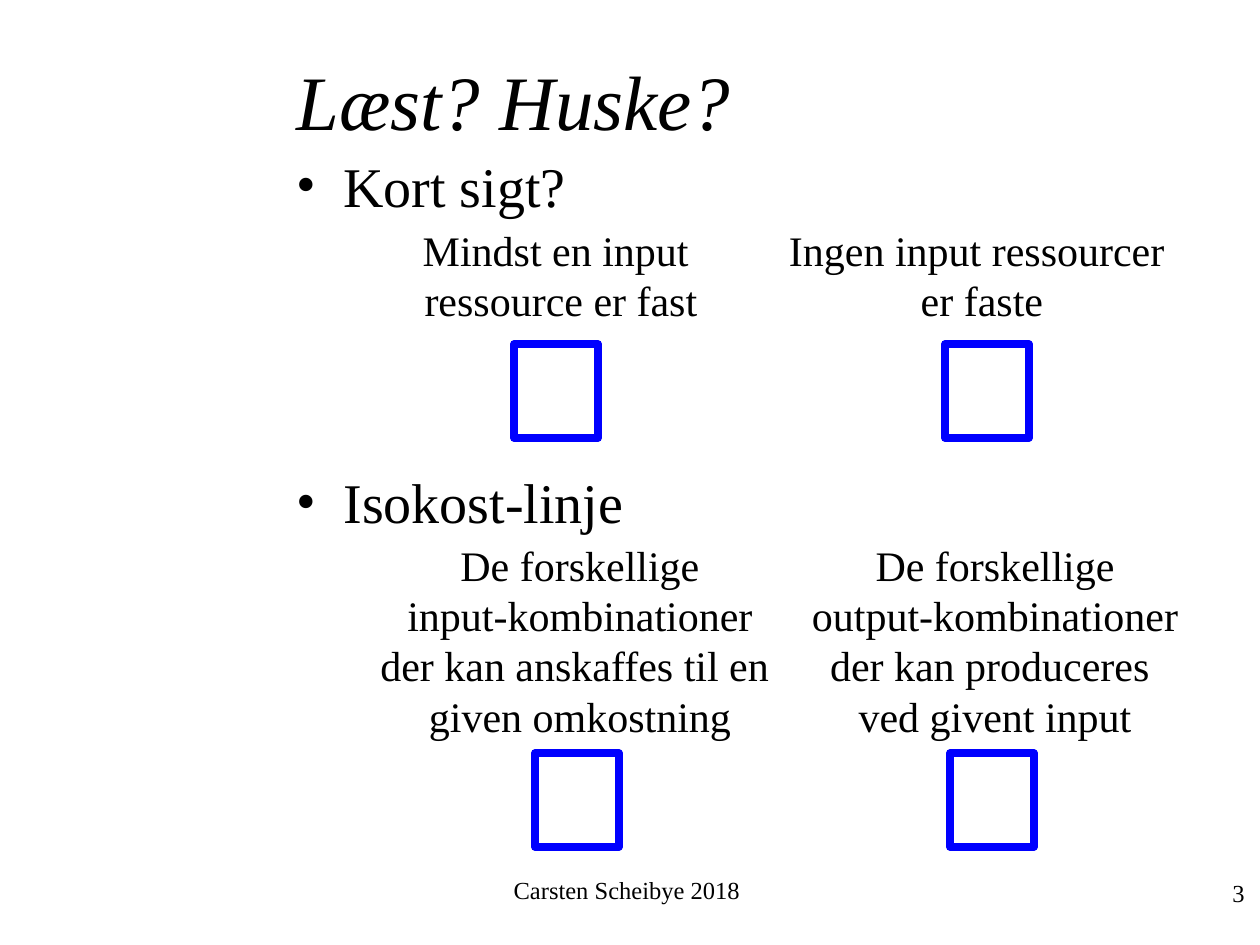
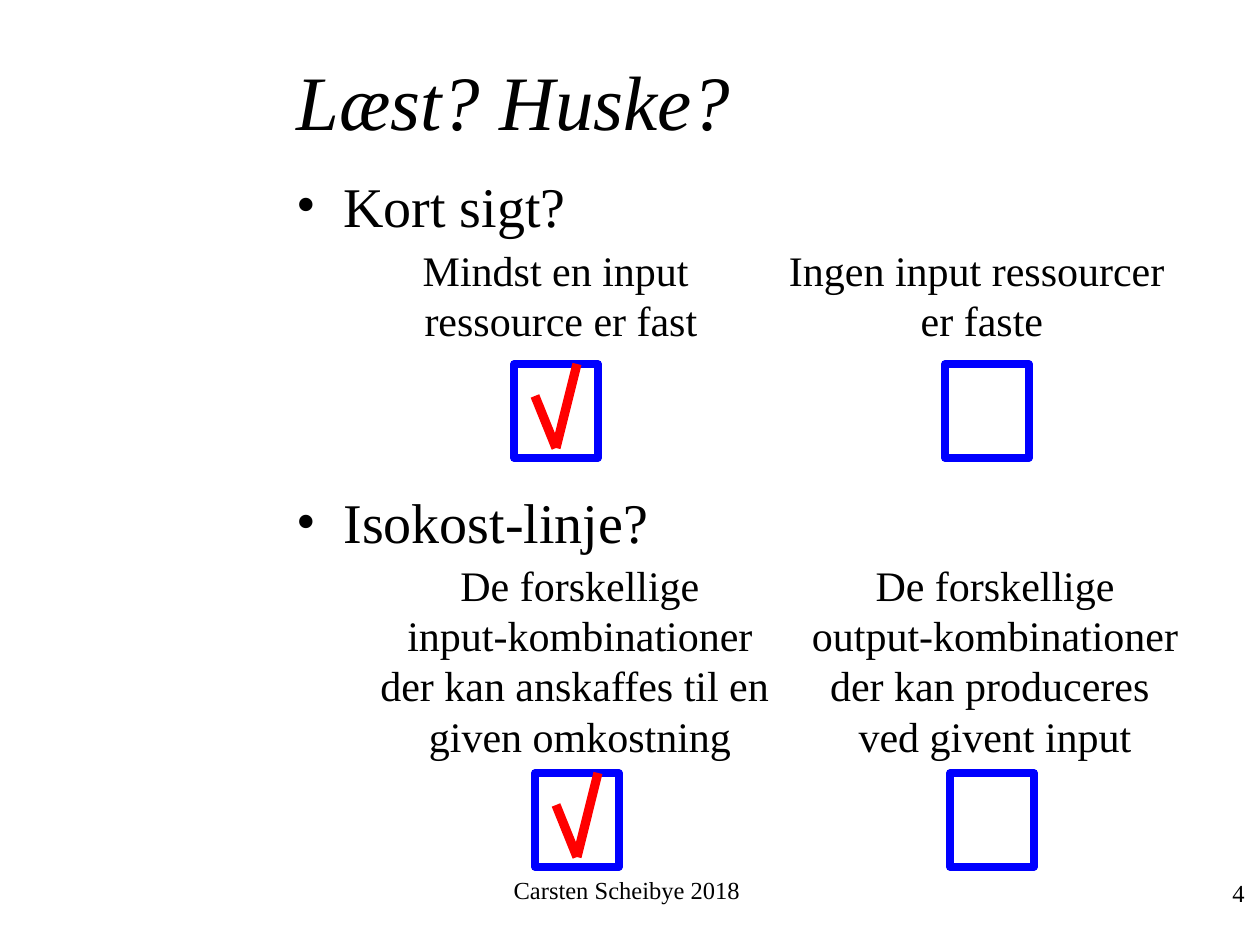
from lxml.etree import SubElement
from pptx import Presentation
from pptx.dml.color import RGBColor
from pptx.enum.shapes import MSO_CONNECTOR as LINE, MSO_SHAPE as SHAPE
from pptx.enum.text import MSO_ANCHOR as ANCHOR, PP_ALIGN as ALIGN
from pptx.oxml.ns import qn
from pptx.util import Pt

BLACK = RGBColor(0, 0, 0)
BLUE = RGBColor(0, 0, 255)
RED = RGBColor(255, 0, 0)
FONT = "Times New Roman"
PX = 914400 / 126

TITLE = "Læst? Huske?"
FOOTER = "Carsten Scheibye 2018 "

# Each question: top of its labels, top of its boxes, and its answers as
# (label centre, label width, box left, lines).
QUIZ = [
    (218, 344, [
        (561, 305, 514, ["Mindst en input ", "ressource er fast"]),
        (982, 415, 945, ["Ingen input ressourcer ", "er faste"]),
    ]),
    (533, 753, [
        (580, 428, 535, ["De forskellige", "input-kombinationer",
                         "der kan anskaffes til en ", "given omkostning"]),
        (995, 394, 950, ["De forskellige", "output-kombinationer",
                         "der kan produceres ", "ved givent input"]),
    ]),
]
# Slide number, downward shift, bullets, whether the first answers are ticked
SLIDES = [
    (3, 0, ["Kort sigt?", "Isokost-linje"], False),
    (4, 20, ["Kort sigt?", "Isokost-linje?"], True),
]
BOX = (84, 94)
TICK = [(21, 32), (42, 84), (63, 0)]

STYLES = {
    "title": dict(size=Pt(44), italic=True),
    "body": dict(size=Pt(32)),
    "label": dict(size=Pt(24)),
    "foot": dict(size=Pt(14)),
}


def emu(*sizes):
    return [round(size * PX) for size in sizes]


def write(slide, at, lines, style, align=ALIGN.LEFT, anchor=ANCHOR.MIDDLE,
          wrap=True):
    frame = slide.shapes.add_textbox(*emu(*at)).text_frame
    frame.word_wrap = wrap
    frame.vertical_anchor = anchor
    frame.text = "\n".join(lines)
    for para in frame.paragraphs:
        para.alignment = align
        font = para.runs[0].font
        font.name = FONT
        font.color.rgb = BLACK
        for key, value in STYLES[style].items():
            setattr(font, key, value)
    return frame.paragraphs


def add_list(slide, shift, items):
    """Write the questions as bullets, spaced to leave room for the answers."""
    paras = write(slide, (284, 145 + shift, 966, 661), items, "body",
                  anchor=ANCHOR.TOP)
    for para, gap in zip(paras, (6.4, 142.6)):
        para.space_before = Pt(gap)
        props = para._p.get_or_add_pPr()
        indent = emu(47)[0]
        props.set("marL", str(indent))
        props.set("indent", str(-indent))
        SubElement(props, qn("a:buFont"), typeface=FONT)
        SubElement(props, qn("a:buChar"), char="•")


def add_box(slide, left, top):
    box = slide.shapes.add_shape(SHAPE.RECTANGLE, *emu(left, top, *BOX))
    box.shadow.inherit = False
    box.fill.background()
    box.line.color.rgb = BLUE
    box.line.width = Pt(4.25)


def add_tick(slide, left, top):
    start, foot, end = [emu(left + x, top + y) for x, y in TICK]
    for tip in (start, end):
        leg = slide.shapes.add_connector(LINE.STRAIGHT, *tip, *foot)
        leg.line.color.rgb = RED
        leg.line.width = Pt(5.25)
        SubElement(leg._element.spPr, qn("a:effectLst"))


def add_quiz(slide, shift, ticked):
    for label_top, box_top, answers in QUIZ:
        for rank, (mid, width, left, lines) in enumerate(answers):
            height = 13 + 51 * len(lines)
            at = (mid - width / 2, label_top + shift, width, height)
            write(slide, at, lines, "label", ALIGN.CENTER, ANCHOR.TOP, False)
            add_box(slide, left, box_top + shift)
            if ticked and rank == 0:
                add_tick(slide, left, box_top + shift)


def main():
    deck = Presentation()
    deck.slide_width, deck.slide_height = emu(1260, 945)
    for number, shift, items, ticked in SLIDES:
        slide = deck.slides.add_slide(deck.slide_layouts[6])
        write(slide, (392, 858, 476, 63), [FOOTER], "foot", ALIGN.CENTER)
        write(slide, (995, 861, 262, 63), [str(number)], "foot", ALIGN.RIGHT)
        write(slide, (284, 21, 976, 158), [TITLE], "title")
        add_list(slide, shift, items)
        add_quiz(slide, shift, ticked)
    deck.save("out.pptx")


if __name__ == "__main__":
    main()
